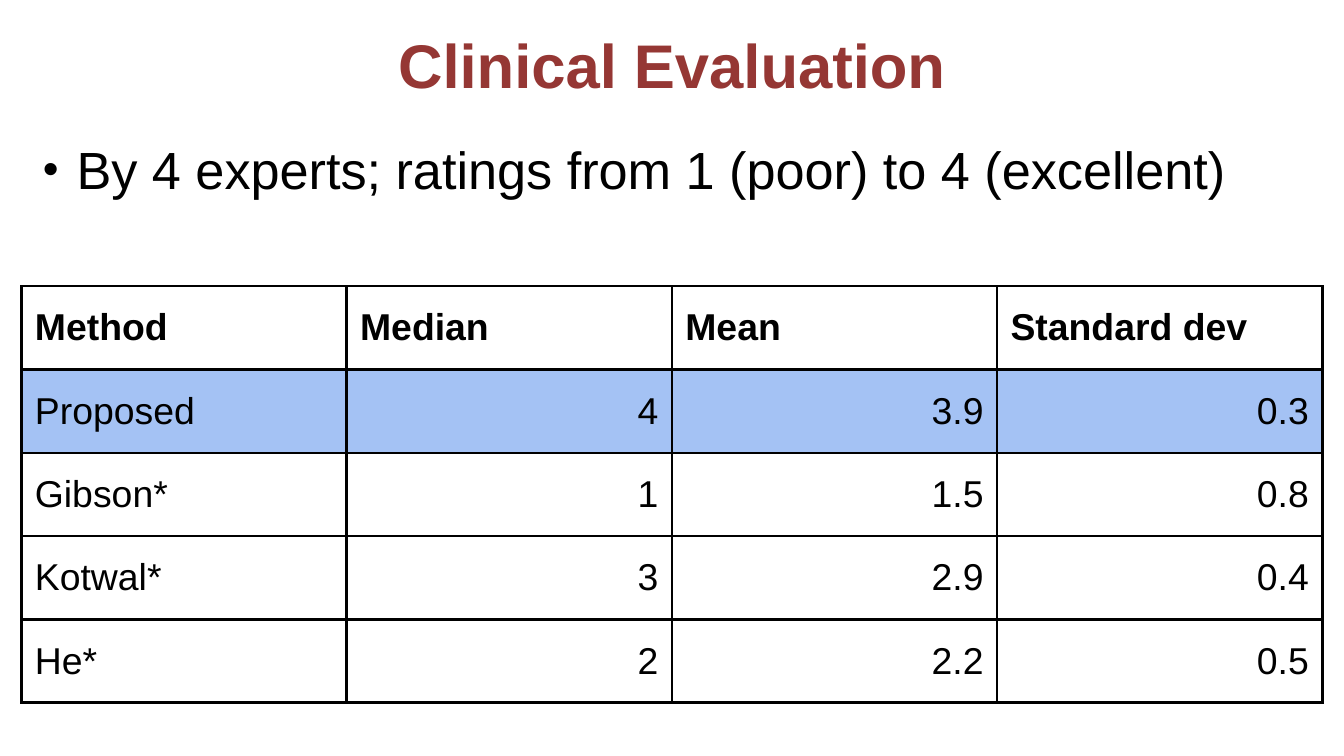
from dataclasses import dataclass

from lxml.etree import SubElement
from pptx import Presentation
from pptx.dml.color import RGBColor
from pptx.enum.text import MSO_ANCHOR, PP_ALIGN
from pptx.oxml.ns import qn
from pptx.util import Inches, Pt


@dataclass(frozen=True)
class Theme:
    font: str = "Arial"
    ink: str = "000000"
    head: str = "953734"
    mark: str = "A4C2F4"
    title: int = 33
    body: int = 28
    cell: int = 20
    rule: float = 1.5


theme = Theme()


def write(frame, text, size=theme.cell, color=theme.ink, bold=False,
          align=PP_ALIGN.LEFT, anchor=MSO_ANCHOR.TOP, pad=0.07):
    frame.word_wrap = True
    frame.vertical_anchor = anchor
    frame.margin_left = frame.margin_right = Inches(pad)
    frame.margin_top = frame.margin_bottom = Inches(pad)
    para = frame.paragraphs[0]
    para.alignment = align
    run = para.add_run()
    run.text = text
    run.font.name = theme.font
    run.font.size = Pt(size)
    run.font.bold = bold
    run.font.color.rgb = RGBColor.from_string(color)
    return para


def border(cell):
    props = cell._tc.get_or_add_tcPr()
    for side in ("lnL", "lnR", "lnT", "lnB"):
        line = SubElement(props, qn(f"a:{side}"), w=str(Pt(theme.rule)))
        fill = SubElement(line, qn("a:solidFill"))
        SubElement(fill, qn("a:srgbClr"), val=theme.ink)


# Slide, 16 by 9
deck = Presentation()
wide = Inches(10)
deck.slide_width, deck.slide_height = wide, wide * 9 // 16
slide = deck.slides.add_slide(deck.slide_layouts[5])

# Title
title = slide.shapes.title
title.left, title.top = 0, Inches(0.01)
title.width, title.height = wide, Inches(0.93)
write(title.text_frame, "Clinical Evaluation", size=theme.title,
      color=theme.head, bold=True, align=PP_ALIGN.CENTER,
      anchor=MSO_ANCHOR.MIDDLE)

# Bullet line
box = slide.shapes.add_textbox(0, Inches(0.95), wide, Inches(0.7))
para = write(box.text_frame,
             "By 4 experts; ratings from 1 (poor) to 4 (excellent)",
             size=theme.body)
props = para._p.get_or_add_pPr()
props.set("marL", str(Inches(0.5)))
props.set("indent", str(Inches(-0.25)))
tint = SubElement(props, qn("a:buClr"))
SubElement(tint, qn("a:srgbClr"), val=theme.ink)
SubElement(props, qn("a:buSzPct"), val="86000")
SubElement(props, qn("a:buFont"), typeface=theme.font)
SubElement(props, qn("a:buChar"), char="•")

# Ratings table
rows = [
    ("Method", "Median", "Mean", "Standard dev"),
    ("Proposed", "4", "3.9", "0.3"),
    ("Gibson*", "1", "1.5", "0.8"),
    ("Kotwal*", "3", "2.9", "0.4"),
    ("He*", "2", "2.2", "0.5"),
]
count, span = len(rows), len(rows[0])
left, col, row = Inches(0.16), Inches(2.42), Inches(0.62)
grid = slide.shapes.add_table(count, span, left, Inches(2.13),
                              col * span, row * count).table
grid.first_row = grid.horz_banding = False
for item in grid.columns:
    item.width = col
for item in grid.rows:
    item.height = row

for r, texts in enumerate(rows):
    for c, text in enumerate(texts):
        cell = grid.cell(r, c)
        number = r > 0 and c > 0
        write(cell.text_frame, text, bold=r == 0,
              align=PP_ALIGN.RIGHT if number else PP_ALIGN.LEFT)
        cell.vertical_anchor = MSO_ANCHOR.MIDDLE
        cell.margin_left = cell.margin_right = Inches(0.1)
        cell.margin_top = cell.margin_bottom = Inches(0.1)
        border(cell)
        if texts[0] == "Proposed":
            cell.fill.solid()
            cell.fill.fore_color.rgb = RGBColor.from_string(theme.mark)
        else:
            cell.fill.background()

deck.save("out.pptx")
